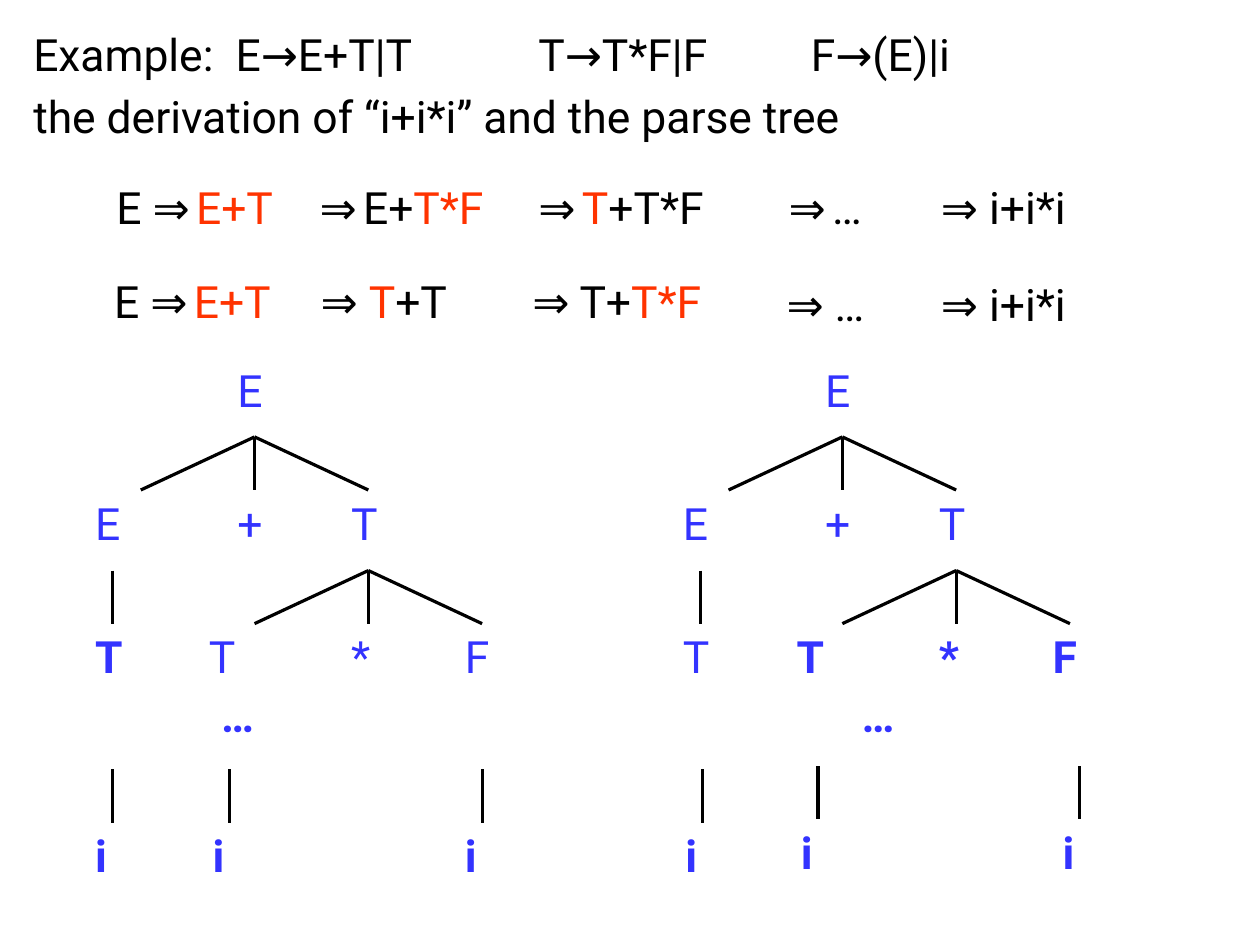
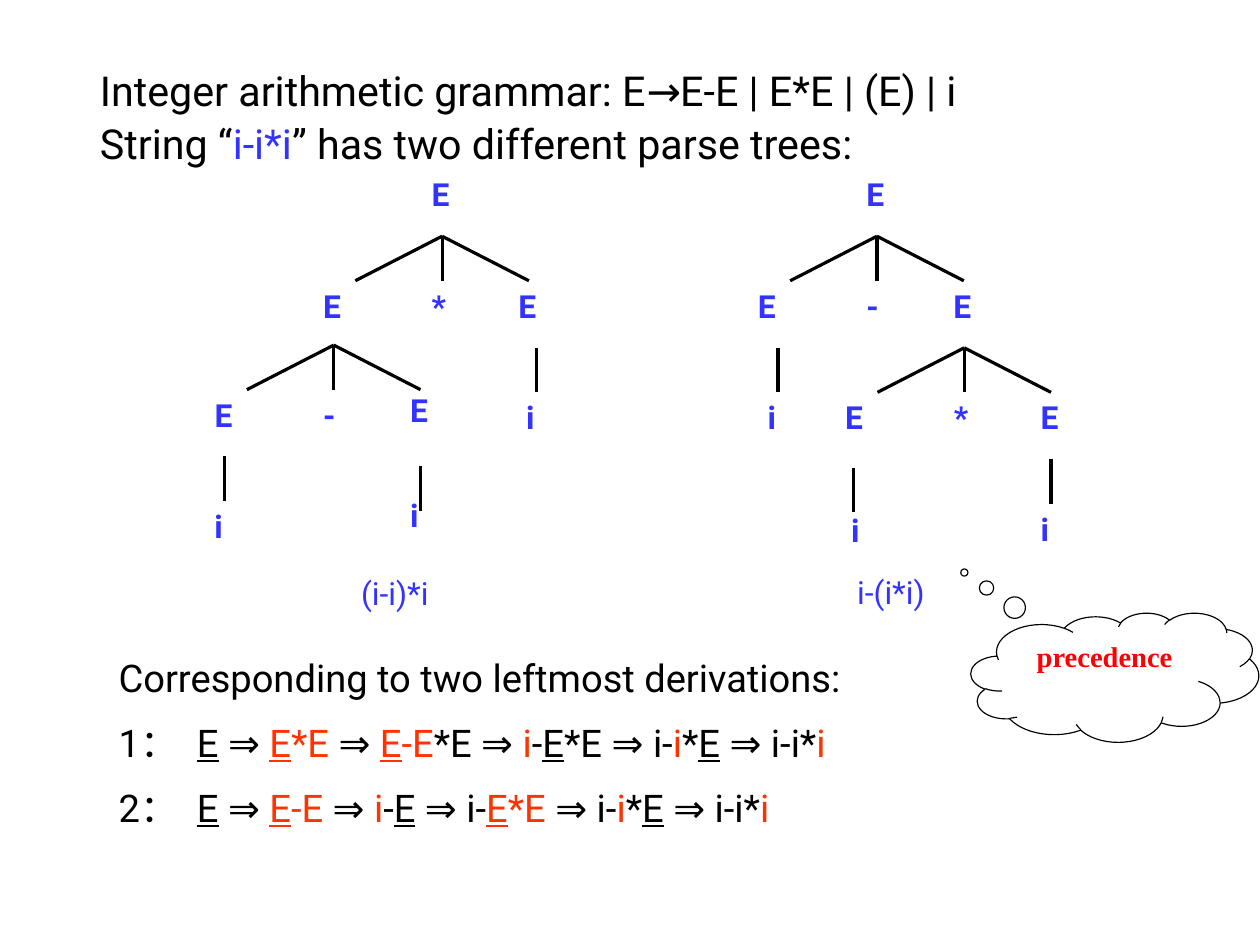
from dataclasses import dataclass

from pptx import Presentation
from pptx.dml.color import RGBColor
from pptx.enum.shapes import MSO_CONNECTOR, MSO_SHAPE
from pptx.enum.text import MSO_ANCHOR, MSO_AUTO_SIZE, PP_ALIGN
from pptx.oxml.ns import qn
from pptx.util import Cm, Inches, Pt

LEFT, CENTER = PP_ALIGN.LEFT, PP_ALIGN.CENTER
TOP = MSO_ANCHOR.TOP
NO_FIT = MSO_AUTO_SIZE.NONE
STRAIGHT = MSO_CONNECTOR.STRAIGHT
CLOUD = MSO_SHAPE.CLOUD_CALLOUT
TITLE_ONLY = 5


@dataclass(frozen=True)
class Theme:
    font: str = "Roboto"
    serif: str = "Times New Roman"
    black: str = "000000"
    white: str = "FFFFFF"
    blue: str = "3333FF"
    orange: str = "FF3300"
    red: str = "FF0000"
    large: int = 28
    heading: int = 26
    body: int = 24
    small: int = 20
    callout: int = 18
    thin_space: int = 16
    branch: float = 2
    outline: float = 0.75
    narrow: tuple = (0.25, 0.13)
    wide: tuple = (0.28, 0.15)


@dataclass(frozen=True)
class TreeStyle:
    spread: float
    drop: float
    height: float
    size: int


T = Theme()
BIG_TREE = TreeStyle(2.53, 1.18, 1.78, T.large)
SMALL_TREE = TreeStyle(1.93, 0.99, 1.5, T.small)


def add_run(p, text, size=T.large, color=T.black, font=T.font, bold=False, underline=False):
    r = p.add_run()
    r.text = text
    f = r.font
    f.name, f.size, f.bold, f.underline = font, Pt(size), bold, underline
    f.color.rgb = RGBColor.from_string(color)


def split_marks(text, color):
    """[..] is orange, {..} is blue, _.._ is underlined and ~ is a thin space."""
    colors = {"[": T.orange, "{": T.blue, "]": color, "}": color}
    piece, now, underline = "", color, False
    for ch in text:
        if ch not in "[]{}_~":
            piece += ch
            continue
        if piece:
            yield piece, {"color": now, "underline": underline}
        piece = ""
        if ch == "~":
            yield " ", {"color": now, "size": T.thin_space}
        elif ch == "_":
            underline = not underline
        else:
            now = colors[ch]
    if piece:
        yield piece, {"color": now, "underline": underline}


def set_tabs(p, stops):
    pr = p._p.get_or_add_pPr()
    tabs = pr.makeelement(qn("a:tabLst"), {})
    for stop in stops:
        tabs.append(tabs.makeelement(qn("a:tab"), {"pos": str(Cm(stop)), "algn": "l"}))
    pr.append(tabs)


def fill_text(tf, lines, size=T.large, color=T.black, font=T.font, bold=False, align=LEFT,
              gap=0, spacing=None, tabs=(), inset=T.narrow, wrap=True):
    tf.word_wrap, tf.auto_size, tf.vertical_anchor = wrap, NO_FIT, TOP
    tf.margin_left = tf.margin_right = Cm(inset[0])
    tf.margin_top = tf.margin_bottom = Cm(inset[1])
    for i, line in enumerate(lines):
        p = tf.add_paragraph() if i else tf.paragraphs[0]
        p.alignment = align
        p.space_before = Pt(gap if i else 0)
        if spacing:
            p.line_spacing = spacing
        if tabs:
            set_tabs(p, tabs)
        for text, marks in split_marks(line, color):
            add_run(p, text, **{"size": size, "font": font, "bold": bold, **marks})


class Deck:
    def __init__(self):
        self.prs = Presentation()
        self.prs.slide_width, self.prs.slide_height = Inches(11.03), Inches(8.26)
        self.s = None
        self.tree = None

    def slide(self, tree):
        self.s = self.prs.slides.add_slide(self.prs.slide_layouts[TITLE_ONLY])
        self.tree = tree

    def title(self, x, y, w, h, lines, **fmt):
        sp = self.s.shapes.title
        sp.left, sp.top, sp.width, sp.height = Cm(x), Cm(y), Cm(w), Cm(h)
        fill_text(sp.text_frame, lines, inset=T.wide, **fmt)

    def text(self, x, y, w, h, lines, **fmt):
        tb = self.s.shapes.add_textbox(Cm(x), Cm(y), Cm(w), Cm(h))
        fill_text(tb.text_frame, lines, **fmt)

    def line(self, x1, y1, x2, y2):
        c = self.s.shapes.add_connector(STRAIGHT, Cm(x1), Cm(y1), Cm(x2), Cm(y2))
        c.line.color.rgb = RGBColor.from_string(T.black)
        c.line.width = Pt(T.branch)
        pr = c._element.spPr
        pr.append(pr.makeelement(qn("a:effectLst"), {}))

    def node(self, x, y, text, bold):
        t = self.tree
        self.text(x - t.spread / 4, y, t.spread, t.height, [text],
                  size=t.size, color=T.blue, bold=bold)

    def root(self, x, y, text, bold):
        self.node(x, y - self.tree.height, text, bold)

    def fork(self, x, y, labels, bold, right_dy=0):
        t = self.tree
        for side, offset, dy, label in zip((-1, 0, 1), (-1.25, 0, 1), (0, 0, right_dy), labels):
            self.line(x, y, x + side * t.spread, y + t.drop)
            self.node(x + offset * t.spread, y + t.drop + dy, label, bold)

    def stem(self, x, y, label, bold=True, dx=0, dy=0):
        self.line(x, y, x, y + self.tree.drop)
        self.node(x + dx, y + self.tree.drop + dy, label, bold)

    def cloud(self, x, y, w, h, text, tail):
        sp = self.s.shapes.add_shape(CLOUD, Cm(x), Cm(y), Cm(w), Cm(h))
        sp.shadow.inherit = False
        sp.adjustments[0], sp.adjustments[1] = tail
        sp.fill.solid()
        sp.fill.fore_color.rgb = RGBColor.from_string(T.white)
        sp.line.color.rgb = RGBColor.from_string(T.black)
        sp.line.width = Pt(T.outline)
        fill_text(sp.text_frame, [text], size=T.callout, color=T.red, font=T.serif,
                  bold=True, align=CENTER, inset=T.wide)


def derivation_slide(d):
    d.slide(BIG_TREE)
    d.title(0.46, 0.46, 27.3, 3.28, [
        "Example:\tE→E+T|T\tT→T*F|F\tF→(E)|i",
        "the derivation of “i+i*i” and the parse tree",
    ], gap=5, tabs=(4.5, 11.23, 17.29))

    steps = [
        (2.08, 3.88, 4.5, "E ⇒~[E+T]"),
        (6.58, 3.88, 4.7, "⇒~E+[T*F]"),
        (11.46, 3.88, 4.7, "⇒~[T]+T*F"),
        (17.08, 3.88, 2.54, "⇒~…"),
        (20.33, 3.88, 3.96, "⇒ i+i*i"),
        (2.03, 5.97, 4.5, "E ⇒~[E+T]"),
        (6.68, 5.97, 3.71, "⇒ [T]+T"),
        (11.3, 5.97, 4.83, "⇒ T+[T*F]"),
        (17.02, 6.03, 2.67, "⇒ …"),
        (20.33, 6.03, 3.96, "⇒ i+i*i"),
    ]
    for x, y, w, step in steps:
        d.text(x, y, w, 1.45, [step], align=CENTER, wrap=False)

    top, pitch, spread = 9.71, 2.97, BIG_TREE.spread
    trees = [
        (5.66, True, 4.67, [(2.5, 17.1), (5.11, 17.1), (10.72, 17.1)]),
        (18.73, False, 18.91, [(15.62, 17.1), (18.19, 17.03), (24.01, 17.03)]),
    ]
    for x, left_bold, dots_x, leaves in trees:
        d.root(x, top, "E", False)
        d.fork(x, top, "E+T", False)
        d.stem(x - 1.25 * spread, top + pitch, "T", left_bold)
        d.fork(x + spread, top + pitch, "T*F", not left_bold)
        d.text(dots_x, 15.16, 2.34, 1.45, ["…"], color=T.blue, bold=True)
        for leaf_x, leaf_y in leaves:
            d.stem(leaf_x, leaf_y, "i")


def ambiguity_slide(d):
    d.slide(SMALL_TREE)
    d.title(1.94, 1.43, 22.89, 3.02, [
        "Integer arithmetic grammar: E→E-E | E*E | (E) | i",
        "String “{i-i*i}” has two different parse trees:",
    ], size=T.heading, gap=5, spacing=0.9)
    d.text(2.36, 14.4, 25.22, 4.39, [
        "Corresponding to two leftmost derivations:",
        "1：\t_E_ ⇒ [_E_*E] ⇒ [_E_-E]*E ⇒ [i]-_E_*E ⇒ i-[i]*_E_ ⇒ i-i*[i]",
        "2：\t_E_ ⇒ [_E_-E] ⇒ [i]-_E_ ⇒ i-[_E_*E] ⇒ i-[i]*_E_ ⇒ i-i*[i]",
    ], size=T.body, gap=12, tabs=(1.74,), inset=T.wide)

    for x, labels in ((9.83, "E*E"), (19.5, "E-E")):
        d.root(x, 5.25, "E", True)
        d.fork(x, 5.25, labels, True)
    d.fork(7.42, 7.67, "E-E", True, right_dy=-0.1)
    d.fork(21.44, 7.73, "E*E", True)

    leaves = [
        (5, 10.14, 0, 0),
        (9.35, 10.36, 0, -0.46),
        (11.93, 7.73, 0, 0),
        (17.3, 7.73, 0, 0),
        (18.98, 10.39, 0.18, -0.15),
        (23.37, 10.21, 0, 0),
    ]
    for x, y, dx, dy in leaves:
        d.stem(x, y, "i", dx=dx, dy=dy)

    for x, y, reading in ((7.75, 12.6, "(i-i)*i"), (18.78, 12.57, "i-(i*i)")):
        d.text(x, y, 2.51, 1.14, [reading], size=T.small, color=T.blue,
               inset=T.wide, wrap=False)
    d.cloud(21.59, 13.62, 6.4, 2.87, "precedence", (-0.523, -0.812))


def main():
    d = Deck()
    derivation_slide(d)
    ambiguity_slide(d)
    d.prs.save("out.pptx")


if __name__ == "__main__":
    main()
